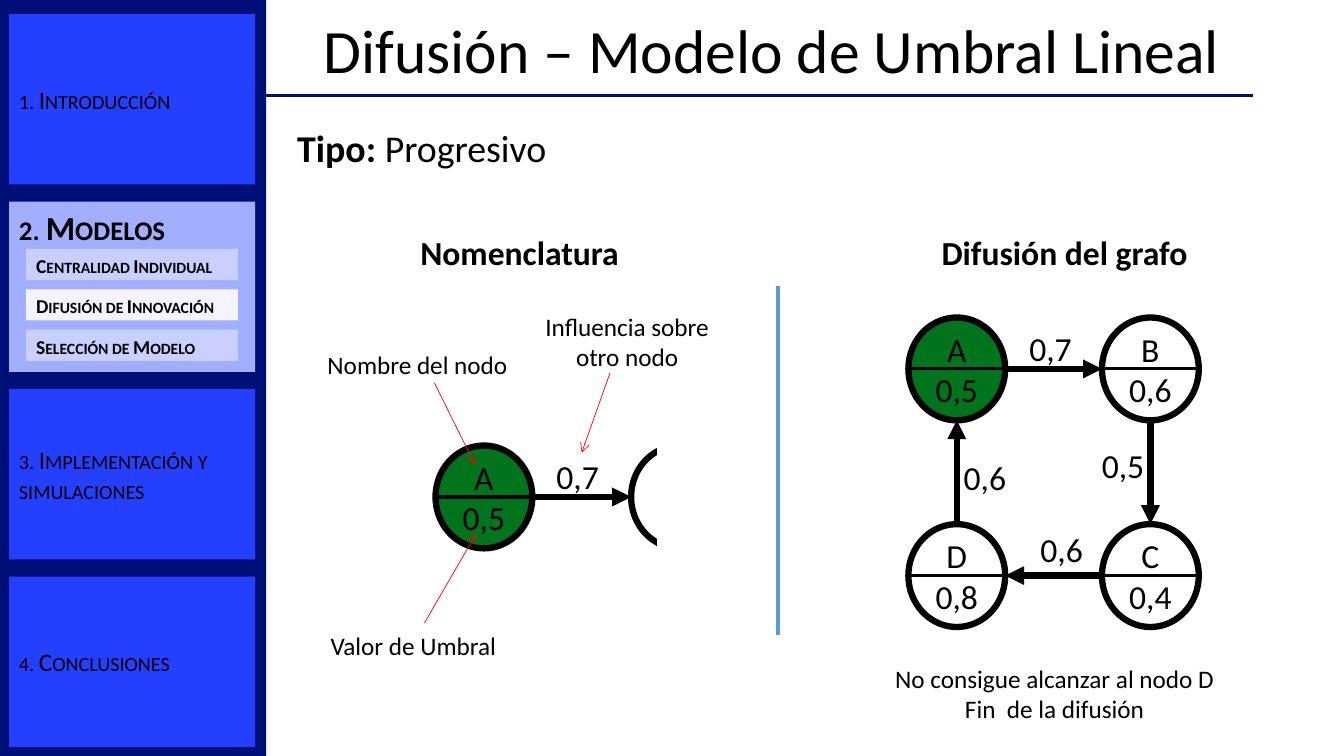
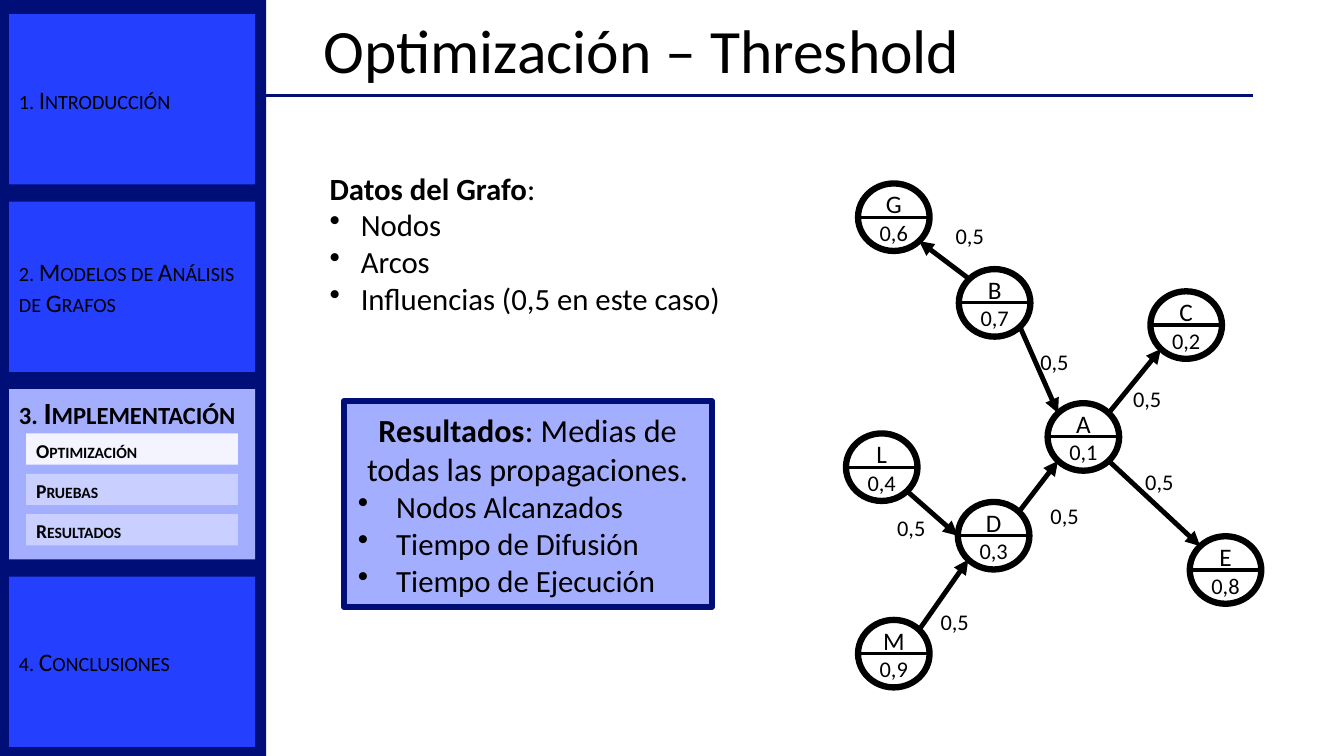
"""Build two slides about diffusion models on graphs."""
from dataclasses import dataclass
from math import cos, radians, sin

from lxml import etree
from pptx import Presentation
from pptx.dml.color import RGBColor
from pptx.enum.shapes import MSO_CONNECTOR, MSO_SHAPE
from pptx.enum.text import MSO_ANCHOR, PP_ALIGN
from pptx.oxml.ns import qn
from pptx.util import Inches, Pt

RECTANGLE, OVAL = MSO_SHAPE.RECTANGLE, MSO_SHAPE.OVAL
STRAIGHT = MSO_CONNECTOR.STRAIGHT
TOP, MIDDLE = MSO_ANCHOR.TOP, MSO_ANCHOR.MIDDLE
LEFT, CENTER = PP_ALIGN.LEFT, PP_ALIGN.CENTER
COMPASS = ("E", "SE", "S", "SW", "W", "NW", "N", "NE")


@dataclass(frozen=True)
class Theme:
    """Colours (RRGGBB), font and type sizes (points) of the deck."""
    font: str = "Calibri"
    black: str = "000000"
    white: str = "FFFFFF"
    navy: str = "000E77"
    section: str = "253FFF"
    active: str = "A3AEFF"
    topic: str = "C9CFFF"
    active_topic: str = "F3F4FF"
    reached: str = "00741C"
    pointer: str = "FF0000"
    divider: str = "5B9BD5"
    title: int = 44
    kind: int = 27
    heading: int = 24
    result: int = 23
    body: int = 22
    note: int = 18
    label: int = 16
    small: int = 14


THEME = Theme()


@dataclass(frozen=True)
class Node:
    """A graph node: its box in inches, name, threshold and colour."""
    left: float
    top: float
    width: float
    height: float
    name: str = ""
    threshold: str = ""
    fill: str = THEME.white

    def site(self, direction):
        """Return the point of the outline in a compass direction."""
        angle = radians(45 * COMPASS.index(direction))
        return (self.left + self.width / 2 * (1 + cos(angle)),
                self.top + self.height / 2 * (1 + sin(angle)))


def color(value):
    """Turn RRGGBB into a colour."""
    return RGBColor.from_string(value)


def add_run(paragraph, text, size, bold=False, small_caps=False):
    """Add one run in the theme font."""
    run = paragraph.add_run()
    run.text = text
    run.font.name = THEME.font
    run.font.size = Pt(size)
    run.font.bold = bold
    run.font.color.rgb = color(THEME.black)
    if small_caps:
        run._r.get_or_add_rPr().set("cap", "small")


def next_paragraph(frame, align=LEFT):
    """Return the empty first paragraph or a new one."""
    first = frame.paragraphs[0]
    paragraph = frame.add_paragraph() if first.runs else first
    paragraph.alignment = align
    return paragraph


def add_bullets(frame, items, indent):
    """Add bulleted lines with a hanging indent."""
    for item in items:
        paragraph = next_paragraph(frame)
        properties = paragraph._p.get_or_add_pPr()
        properties.set("marL", str(Inches(indent)))
        properties.set("indent", str(-Inches(indent)))
        etree.SubElement(properties, qn("a:buChar"), char="•")
        add_run(paragraph, item, THEME.body)


def add_box(slide, box, fill, line=None, weight=4.5, kind=RECTANGLE, anchor=TOP):
    """Add a flat filled shape, with an outline if a line colour is given."""
    shape = slide.shapes.add_shape(kind, *map(Inches, box))
    shape.shadow.inherit = False
    shape.fill.solid()
    shape.fill.fore_color.rgb = color(fill)
    if line:
        shape.line.color.rgb = color(line)
        shape.line.width = Pt(weight)
    else:
        shape.line.fill.background()
    shape.text_frame.word_wrap = True
    shape.text_frame.vertical_anchor = anchor
    return shape


def add_text(slide, box, lines, size, align=LEFT, bold=False, wrap=True):
    """Add a text box with one paragraph for each line."""
    frame = slide.shapes.add_textbox(*map(Inches, box)).text_frame
    frame.word_wrap = wrap
    for line in lines:
        add_run(next_paragraph(frame, align), line, size, bold)
    return frame


def add_line(slide, start, end, line, weight, arrow=None):
    """Add a straight line, with an arrowhead at its end if one is named."""
    connector = slide.shapes.add_connector(STRAIGHT, *map(Inches, (*start, *end)))
    connector.line.color.rgb = color(line)
    connector.line.width = Pt(weight)
    if arrow:
        etree.SubElement(connector.line._get_or_add_ln(), qn("a:tailEnd"), type=arrow)
    etree.SubElement(connector._element.spPr, qn("a:effectLst"))


def add_node(slide, node, name_size, threshold_size):
    """Draw a node as a circle split between its name and its threshold."""
    box = (node.left, node.top, node.width, node.height)
    circle = add_box(slide, box, node.fill, THEME.black, kind=OVAL, anchor=MIDDLE)
    if not node.name:
        return
    frame = circle.text_frame
    frame.margin_left = frame.margin_right = 0
    add_run(next_paragraph(frame, CENTER), node.name, name_size)
    add_run(next_paragraph(frame, CENTER), node.threshold, threshold_size)
    add_line(slide, node.site("W"), node.site("E"), THEME.black, 2.25)


def add_edges(slide, nodes, edges, weight):
    """Join nodes with arrows given as (source, side, target, side)."""
    for source, source_side, target, target_side in edges:
        add_line(slide, nodes[source].site(source_side),
                 nodes[target].site(target_side), THEME.black, weight, "triangle")


def add_sidebar(slide, sections, active, topics, active_topic, heading, topic_offset):
    """Draw the agenda with one section open on its topics."""
    add_box(slide, (0, 0, 2.64, 7.5), THEME.navy)
    for index, section in enumerate(sections):
        is_open = index == active
        shape = add_box(slide, (0.09, 0.14 + 1.86 * index, 2.44, 1.69),
                        THEME.active if is_open else THEME.section,
                        anchor=TOP if is_open else MIDDLE)
        add_run(next_paragraph(shape.text_frame), section,
                heading if is_open else THEME.note, is_open, True)
    first_top = 0.14 + 1.86 * active + topic_offset
    for index, topic in enumerate(topics):
        fill = THEME.active_topic if index == active_topic else THEME.topic
        shape = add_box(slide, (0.26, first_top + 0.4 * index, 2.1, 0.31), fill)
        add_run(next_paragraph(shape.text_frame), topic, THEME.small, True, True)


def add_title(slide, title):
    """Add the slide title and the rule below it."""
    add_line(slide, (2.62, 0.95), (12.43, 0.95), THEME.navy, 2.25)
    frame = add_text(slide, (3.11, 0, 9.47, 1.06), [title], THEME.title)
    frame.vertical_anchor = MIDDLE
    frame.paragraphs[0].line_spacing = 0.9


def add_legend(slide):
    """Explain the parts of a node and of an edge."""
    size = (0.96, 1.02)
    node = Node(4.32, 4.42, *size, "A", "0,5", THEME.reached)
    neighbour = Node(6.26, 4.42, *size)
    add_node(slide, node, THEME.heading, THEME.heading)
    add_node(slide, neighbour, THEME.heading, THEME.heading)
    add_box(slide, (6.52, 4.18, 1.26, 1.4), THEME.white, THEME.white, 1)
    add_edges(slide, (node, neighbour), [(0, "E", 1, "W")], 4.5)
    add_text(slide, (5.42, 4.47, 0.72, 0.51), ["0,7"], THEME.heading)
    for start, end in (((4.31, 3.8), (4.71, 4.61)), ((6.05, 3.7), (5.77, 4.49)),
                       ((4.21, 6.18), (4.72, 5.3))):
        add_line(slide, start, end, THEME.pointer, 0.5, "arrow")
    add_text(slide, (5.17, 3.04, 2.1, 0.71), ["Influencia sobre otro nodo"],
             THEME.note, CENTER)
    add_text(slide, (3.15, 3.42, 2.1, 0.4), ["Nombre del nodo"], THEME.note)
    add_text(slide, (3.18, 6.2, 2.1, 0.4), ["Valor de Umbral"], THEME.note)


def add_cycle(slide):
    """Draw the four-node cycle with its influences."""
    columns, rows, size = (9.01, 10.93), (3.15, 5.2), (0.96, 1.02)
    nodes = {
        "A": Node(columns[0], rows[0], *size, "A", "0,5", THEME.reached),
        "B": Node(columns[1], rows[0], *size, "B", "0,6"),
        "C": Node(columns[1], rows[1], *size, "C", "0,4"),
        "D": Node(columns[0], rows[1], *size, "D", "0,8"),
    }
    for node in nodes.values():
        add_node(slide, node, THEME.heading, THEME.heading)
    add_edges(slide, nodes, [("A", "E", "B", "W"), ("B", "S", "C", "N"),
                             ("C", "W", "D", "E"), ("D", "N", "A", "S")], 4.5)
    for left, top, influence in ((10.11, 3.2, "0,7"), (10.83, 4.36, "0,5"),
                                 (10.22, 5.2, "0,6"), (9.46, 4.48, "0,6")):
        add_text(slide, (left, top, 0.72, 0.51), [influence], THEME.heading)


def add_network(slide):
    """Draw the eight-node graph with its influences."""
    places = (("A", 10.39, 4, "0,1"), ("B", 9.51, 2.67, "0,7"),
              ("C", 11.41, 2.89, "0,2"), ("D", 9.5, 4.98, "0,3"),
              ("E", 11.8, 5.32, "0,8"), ("G", 8.51, 1.82, "0,6"),
              ("L", 8.39, 4.3, "0,4"), ("M", 8.51, 6.15, "0,9"))
    nodes = {name: Node(left, top, 0.71, 0.67, name, threshold)
             for name, left, top, threshold in places}
    for node in nodes.values():
        add_node(slide, node, THEME.note, THEME.label)
    add_edges(slide, nodes, [
        ("B", "SE", "A", "NW"), ("A", "NE", "C", "SW"), ("A", "SE", "E", "NW"),
        ("D", "NE", "A", "SW"), ("M", "NE", "D", "SW"), ("L", "SE", "D", "W"),
        ("B", "NW", "G", "SE")], 3.5)
    for left, top in ((9.38, 2.15), (10.22, 3.4), (8.8, 5.05), (9.23, 5.98),
                      (10.32, 4.93), (11.26, 4.6), (11.14, 3.77)):
        add_text(slide, (left, top, 0.55, 0.37), ["0,5"], THEME.label)


def build_threshold_model(slide):
    """Build the slide on the linear threshold model."""
    add_sidebar(slide, ("1. Introducción", "2. Modelos",
                        "3. Implementación y simulaciones", "4. Conclusiones"), 1,
                ("Centralidad Individual", "Difusión de Innovación",
                 "Selección de Modelo"), 1, THEME.heading, 0.47)
    add_title(slide, "Difusión – Modelo de Umbral Lineal")
    kind = add_text(slide, (2.85, 1.19, 2.7, 0.56), ["Tipo: "], THEME.kind,
                    bold=True, wrap=False)
    add_run(kind.paragraphs[0], "Progresivo", THEME.kind)
    for box, heading in (((4.07, 2.25, 2.19, 0.5), "Nomenclatura"),
                         ((9.24, 2.25, 2.66, 0.5), "Difusión del grafo")):
        add_text(slide, box, [heading], THEME.heading, bold=True, wrap=False)
    add_legend(slide)
    add_line(slide, (7.72, 2.84), (7.72, 6.3), THEME.divider, 3)
    add_cycle(slide)
    add_text(slide, (8.76, 6.53, 3.4, 0.71),
             ["No consigue alcanzar al nodo D", "Fin  de la difusión"],
             THEME.note, CENTER, wrap=False)


def build_optimization(slide):
    """Build the slide on the optimization data and results."""
    add_sidebar(slide, ("1. Introducción", "2. Modelos de Análisis de Grafos",
                        "3. Implementación", "4. Conclusiones"), 2,
                ("Optimización", "Pruebas", "Resultados"), 0, THEME.body, 0.44)
    add_title(slide, "Optimización – Threshold")
    graph_data = add_text(slide, (3.17, 1.63, 4.53, 1.58), ["Datos del Grafo"],
                          THEME.body, bold=True)
    add_run(graph_data.paragraphs[0], ":", THEME.body)
    add_bullets(graph_data, ("Nodos", "Arcos", "Influencias (0,5 en este caso)"), 0.31)
    results = add_box(slide, (3.41, 3.98, 3.65, 2.04), THEME.active,
                      THEME.navy).text_frame
    results.margin_left = results.margin_right = Inches(0.14)
    results.margin_top = Inches(0.09)
    paragraph = next_paragraph(results, CENTER)
    add_run(paragraph, "Resultados", THEME.result, True)
    add_run(paragraph, ": Medias de todas las propagaciones.", THEME.result)
    add_bullets(results, ("Nodos Alcanzados", "Tiempo de Difusión",
                          "Tiempo de Ejecución"), 0.38)
    add_network(slide)


def main():
    """Create the presentation and save it."""
    presentation = Presentation()
    presentation.slide_width = Inches(13.33)
    presentation.slide_height = Inches(7.5)
    blank = presentation.slide_layouts[6]
    for build in (build_threshold_model, build_optimization):
        build(presentation.slides.add_slide(blank))
    presentation.save("out.pptx")


main()
